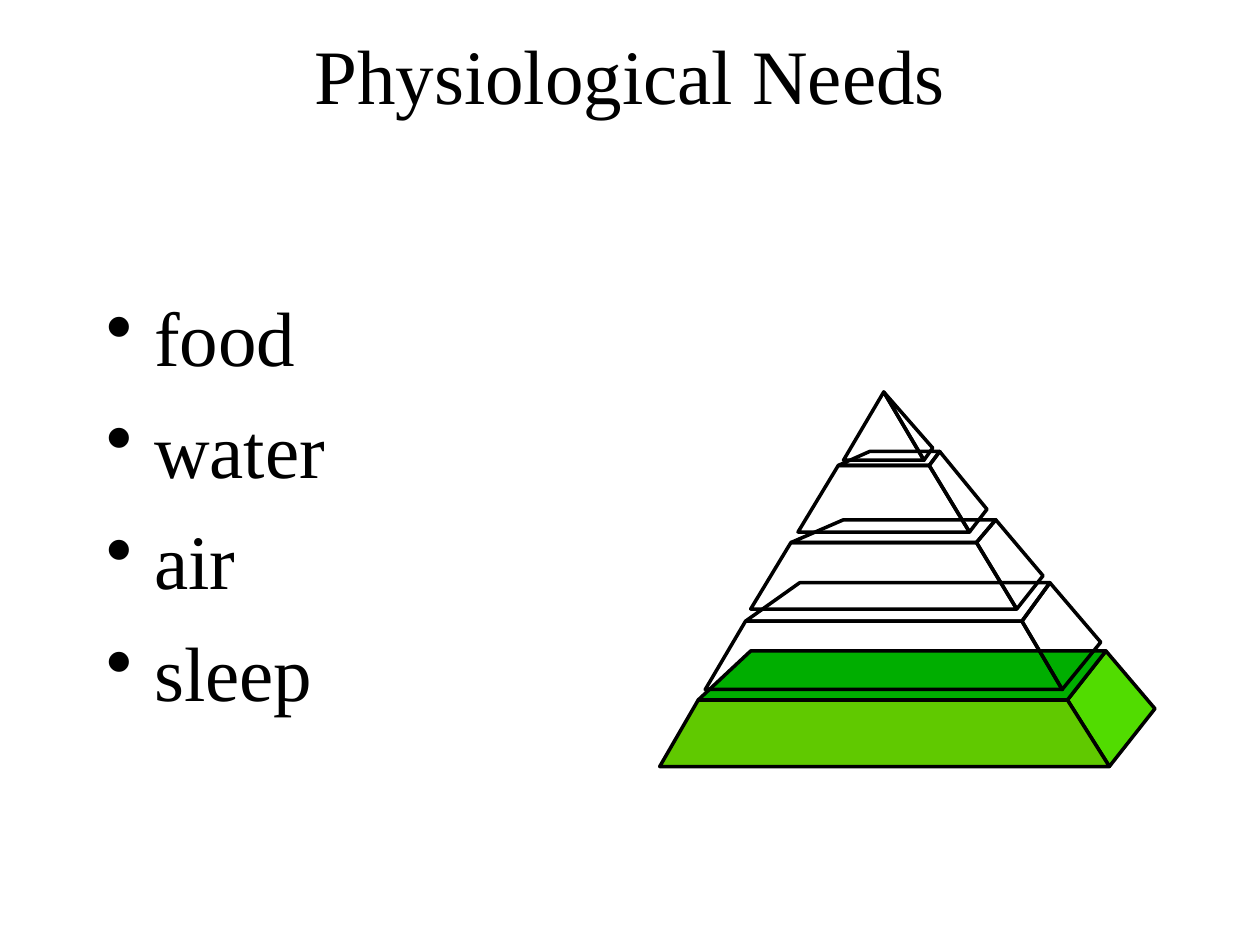
import pptx
import pptx.dml.color
import pptx.enum.text
import pptx.oxml.ns
import pptx.util
from lxml import etree

Pt = pptx.util.Pt
RGBColor = pptx.dml.color.RGBColor
qn = pptx.oxml.ns.qn

BLACK = RGBColor(0x00, 0x00, 0x00)
SIDE_GREEN = RGBColor(0x51, 0xDC, 0x00)
TOP_GREEN = RGBColor(0x00, 0xAE, 0x00)
FRONT_GREEN = RGBColor(0x60, 0xC9, 0x00)
FONT = "Times New Roman"

presentation = pptx.Presentation()
presentation.slide_width = Pt(720)
presentation.slide_height = Pt(540)
slide = presentation.slides.add_slide(presentation.slide_layouts[6])


def add_text(left, top, width, height, lines):
    frame = slide.shapes.add_textbox(Pt(left), Pt(top), Pt(width), Pt(height)).text_frame
    frame.word_wrap = True
    frame.text = "\n".join(lines)
    for paragraph in frame.paragraphs:
        paragraph.font.name = FONT
        paragraph.font.size = Pt(44)
        paragraph.font.color.rgb = BLACK
    return frame


def add_face(points, color):
    builder = slide.shapes.build_freeform(*points[0], scale=Pt(1))
    builder.add_line_segments(points[1:], close=True)
    shape = builder.convert_to_shape()
    shape.shadow.inherit = False
    if color is None:
        shape.fill.background()
    else:
        shape.fill.solid()
        shape.fill.fore_color.rgb = color
    shape.line.color.rgb = BLACK
    shape.line.width = Pt(2)
    etree.SubElement(shape.line.fill._xPr, qn("a:round"))


title = add_text(54, 0, 612, 84, ["Physiological Needs"])
title.vertical_anchor = pptx.enum.text.MSO_ANCHOR.MIDDLE
title.paragraphs[0].alignment = pptx.enum.text.PP_ALIGN.CENTER

needs = add_text(54, 162, 252, 372, ["food", "water", "air", "sleep"])
for paragraph in needs.paragraphs:
    paragraph.space_before = Pt(11)
    properties = paragraph._p.get_or_add_pPr()
    properties.set("marL", str(Pt(27)))
    properties.set("indent", str(Pt(-27)))
    etree.SubElement(properties, qn("a:buChar")).set("char", "•")
    properties.append(properties.find(qn("a:defRPr")))

# front left, front right, top left, top right, back left, back right, side corner
tiers = [
    [(376.6, 437.8), (633.6, 437.8), (399.2, 399.6), (609.8, 399.6),
     (429.1, 371.5), (632.2, 371.5), (660.2, 404.6)],
    [(403.2, 393.8), (607, 393.8), (425.5, 355), (583.9, 355),
     (457.2, 333.4), (600.5, 333.4), (628.6, 367.2)],
    [(429.1, 348.5), (580.7, 348.5), (452.2, 310.3), (558, 310.3),
     (481.7, 296.6), (568.8, 296.6), (596.2, 329)],
    [(455.8, 303.8), (554.4, 303.8), (478.8, 265.7), (531.4, 265.7),
     (496.8, 258.5), (537.1, 258.5), (564.5, 290.9)],
]
base_colors = (SIDE_GREEN, TOP_GREEN, FRONT_GREEN)
for index, tier in enumerate(tiers):
    front_left, front_right, top_left, top_right, back_left, back_right, corner = tier
    side_color, top_color, front_color = base_colors if index == 0 else (None,) * 3
    add_face([front_right, top_right, back_right, corner], side_color)
    add_face([top_left, top_right, back_right, back_left], top_color)
    add_face([front_left, front_right, top_right, top_left], front_color)

tip_left, tip_right, tip_corner, apex = (481.7, 262.8), (527.8, 262.8), (532.8, 256.3), (504.7, 223.9)
add_face([tip_right, tip_corner, apex], None)
add_face([tip_left, tip_right, apex], None)

presentation.save("out.pptx")
